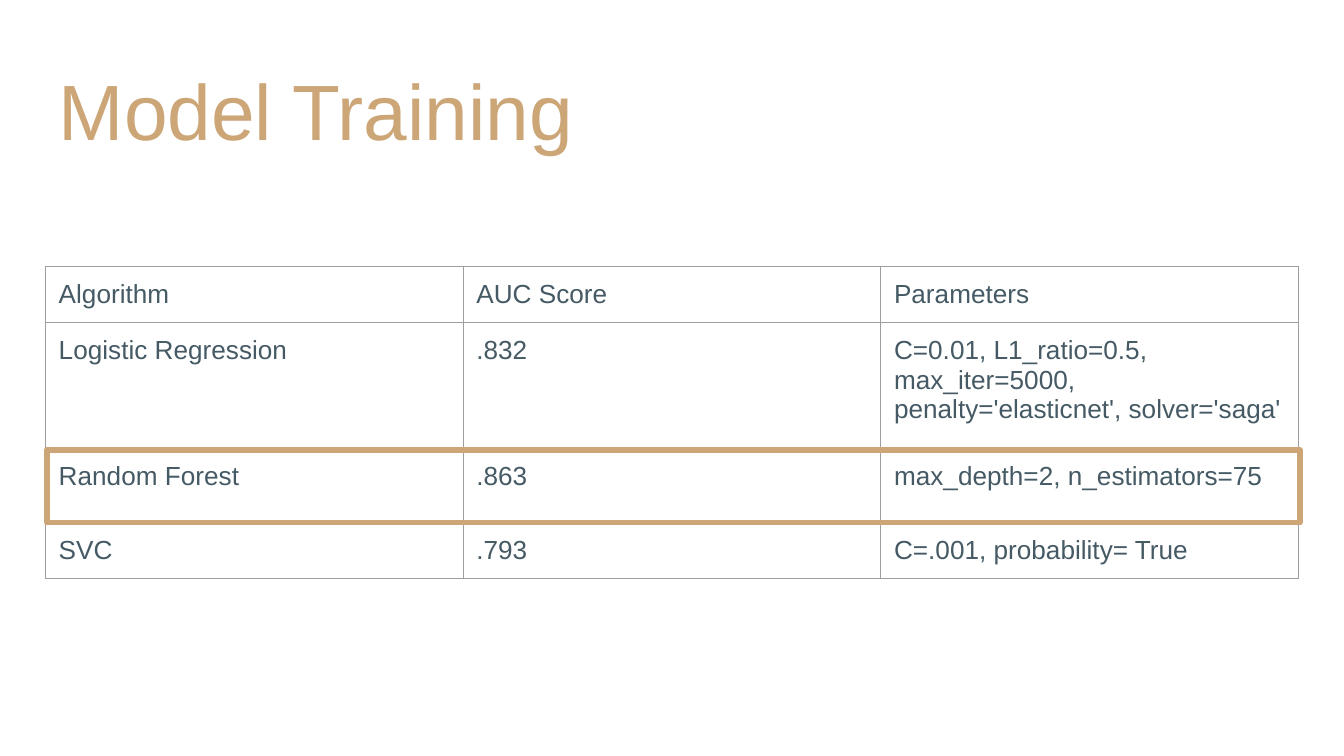
from lxml import etree
from pptx import Presentation
from pptx.dml.color import RGBColor
from pptx.enum.shapes import MSO_SHAPE
from pptx.enum.text import MSO_ANCHOR, MSO_AUTO_SIZE, PP_ALIGN
from pptx.oxml import parse_xml
from pptx.oxml.ns import nsdecls, qn
from pptx.util import Cm, Pt

COLORS = {"gold": "CCA677", "slate": "455A64", "grid": "9E9E9E", "page": "FFFFFF"}
INSET = Cm(0.25)
ROW_HEIGHTS = [1.07, 2.37, 1.4, 1.07]
BEST_ROW = 2
RESULTS = [
    ("Algorithm", "AUC Score", "Parameters"),
    ("Logistic Regression", ".832",
     "C=0.01, L1_ratio=0.5, max_iter=5000, penalty='elasticnet', solver='saga'"),
    ("Random Forest", ".863", "max_depth=2, n_estimators=75"),
    ("SVC", ".793", "C=.001, probability= True"),
]


def rgb(name):
    return RGBColor.from_string(COLORS[name])


def write_text(frame, text, *, size, color, font="Arial", align=PP_ALIGN.LEFT):
    para = frame.paragraphs[0]
    para.alignment = align
    span = para.add_run()
    span.text = text
    span.font.name = font
    span.font.size = Pt(size)
    span.font.color.rgb = rgb(color)


def set_insets(target):
    target.margin_left = target.margin_right = INSET
    target.margin_top = target.margin_bottom = INSET


def add_borders(cell, color, width):
    properties = cell._tc.get_or_add_tcPr()
    for side in ("lnL", "lnR", "lnT", "lnB"):
        properties.append(parse_xml(
            f'<a:{side} {nsdecls("a")} w="{Pt(width)}"><a:solidFill>'
            f'<a:srgbClr val="{COLORS[color]}"/></a:solidFill></a:{side}>'))


def place_title(page, left, top, width, height):
    title = page.shapes.title
    title.left, title.top, title.width, title.height = left, top, width, height
    frame = title.text_frame
    frame.auto_size = MSO_AUTO_SIZE.NONE
    frame.word_wrap = True
    frame.vertical_anchor = MSO_ANCHOR.BOTTOM
    set_insets(frame)
    write_text(frame, "Model Training", size=42, color="gold")


def place_results(page, left, top, width):
    heights = [Cm(height) for height in ROW_HEIGHTS]
    table = page.shapes.add_table(
        len(RESULTS), len(RESULTS[0]), left, top, width, sum(heights)).table
    table.first_row = table.horz_banding = False
    for column in table.columns:
        column.width = width // len(table.columns)
    for row, height, texts in zip(table.rows, heights, RESULTS):
        row.height = height
        for cell, text in zip(row.cells, texts):
            set_insets(cell)
            add_borders(cell, "grid", 0.75)
            cell.fill.background()
            write_text(cell.text_frame, text, size=14, color="slate")
    best_top = top + sum(heights[:BEST_ROW])
    place_highlight(page, left + Cm(0.03), best_top + Cm(0.04),
                    width, heights[BEST_ROW] - Cm(0.03))


def place_highlight(page, left, top, width, height):
    box = page.shapes.add_shape(MSO_SHAPE.RECTANGLE, left, top, width, height)
    box.shadow.inherit = False
    box.fill.background()
    box.line.color.rgb = rgb("gold")
    box.line.width = Pt(3)
    etree.SubElement(box.line._get_or_add_ln(), qn("a:round"))


def main():
    deck = Presentation()
    deck.slide_width, deck.slide_height = Cm(25.4), Cm(14.29)
    page = deck.slides.add_slide(deck.slide_layouts[5])
    page.background.fill.solid()
    page.background.fill.fore_color.rgb = rgb("page")
    left, width = Cm(0.86), Cm(23.68)
    place_title(page, left, Cm(0.89), width, Cm(2.31))
    place_results(page, left, Cm(5.03), width)
    deck.save("out.pptx")


if __name__ == "__main__":
    main()
